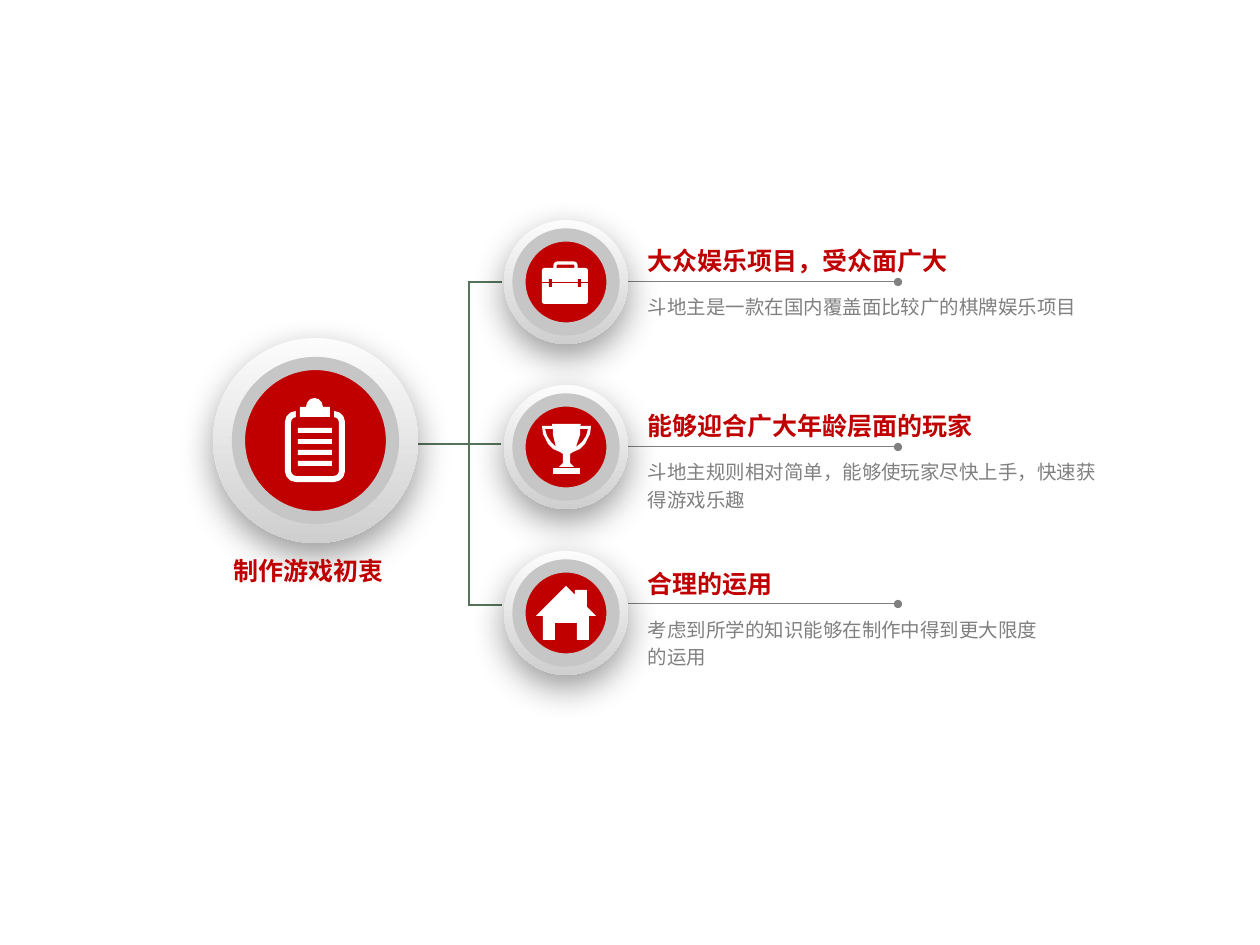
from lxml.etree import SubElement
from pptx import Presentation
from pptx.dml.color import RGBColor
from pptx.enum.shapes import MSO_CONNECTOR, MSO_SHAPE
from pptx.oxml.ns import qn
from pptx.util import Inches, Pt

FONT = "Noto Sans CJK SC"
RED, GREY, GREEN, WHITE = "C00000", "808080", "55735B", "FFFFFF"

prs = Presentation()
prs.slide_width, prs.slide_height = Inches(12.6), Inches(9.45)
s = prs.slides.add_slide(prs.slide_layouts[6])


def rgb(color):
    return RGBColor.from_string(color)


def style(sp, fill=None, line=None, width=0):
    """Set fill and line; None leaves that part empty."""
    sp.shadow.inherit = False
    if fill:
        sp.fill.solid()
        sp.fill.fore_color.rgb = rgb(fill)
    else:
        sp.fill.background()
    if line:
        sp.line.color.rgb = rgb(line)
        sp.line.width = Pt(width)
    else:
        sp.line.fill.background()


# Lines: the green bracket, then a grey underline with round ends per row
lines = [
    (4.11, 4.44, 5.01, 4.44, GREEN),
    (4.69, 2.82, 4.69, 6.05, GREEN),
    (4.68, 6.05, 5.02, 6.05, GREEN),
    (4.68, 2.82, 5.02, 2.82, GREEN),
]
lines += [(6.06, y, 8.98, y, GREY) for y in (2.82, 4.47, 6.04)]
for x1, y1, x2, y2, color in lines:
    cx = s.shapes.add_connector(MSO_CONNECTOR.STRAIGHT, Inches(x1), Inches(y1),
                                Inches(x2), Inches(y2))
    cx.line.color.rgb = rgb(color)
    cx.line.width = Pt(0.75 if color == GREY else 1)
    if color == GREY:
        ln = cx.line._get_or_add_ln()
        for end in ("a:headEnd", "a:tailEnd"):
            SubElement(ln, qn(end), type="oval")
    SubElement(cx._element.spPr, qn("a:effectLst"))

# Round buttons: shaded disc with a soft shadow, red disc with a grey ring
buttons = [(2.13, 3.38, 2.05, 1.54)]
buttons += [(5.04, y, 1.24, 0.94) for y in (2.2, 3.85, 5.51)]
for x, y, outer, inner in buttons:
    disc = s.shapes.add_shape(MSO_SHAPE.OVAL, Inches(x), Inches(y), Inches(outer), Inches(outer))
    style(disc, WHITE)
    disc.fill.gradient()
    disc.fill.gradient_angle = 270
    for stop, color in zip(disc.fill.gradient_stops, ("FCFCFC", "CFCFCF")):
        stop.color.rgb = rgb(color)
    effects = disc._element.spPr.find(qn("a:effectLst"))
    shadow = SubElement(effects, qn("a:outerShdw"), blurRad=str(Pt(25)), dist=str(Pt(9)),
                        dir="5400000", algn="t", rotWithShape="0")
    black = SubElement(shadow, qn("a:srgbClr"), val="000000")
    SubElement(black, qn("a:alpha"), val="40000")
    gap = (outer - inner) / 2
    core = s.shapes.add_shape(MSO_SHAPE.OVAL, Inches(x + gap), Inches(y + gap),
                              Inches(inner), Inches(inner))
    style(core, RED, "C6C6C6", 9.5)

# Clipboard and briefcase icons
RECT, ROUND, OVAL = MSO_SHAPE.RECTANGLE, MSO_SHAPE.ROUNDED_RECTANGLE, MSO_SHAPE.OVAL
icon_parts = [
    # kind, left, top, width, height, corner, fill, line width
    (ROUND, 2.88, 4.14, 0.54, 0.65, 0.15, None, 4.3),
    (RECT, 2.96, 4.08, 0.38, 0.1, 0, RED, 0),
    (OVAL, 3.06, 3.98, 0.17, 0.18, 0, WHITE, 0),
    (RECT, 3.0, 4.07, 0.3, 0.1, 0, WHITE, 0),
]
icon_parts += [(RECT, 2.98, 4.28 + 0.11 * i, 0.34, 0.05, 0, WHITE, 0) for i in range(4)]
icon_parts += [
    (ROUND, 5.55, 2.63, 0.21, 0.12, 0.2, None, 2.3),
    (ROUND, 5.42, 2.68, 0.46, 0.36, 0.07, WHITE, 0),
    (RECT, 5.42, 2.82, 0.46, 0.01, 0, RED, 0),
    (RECT, 5.49, 2.79, 0.03, 0.08, 0, RED, 0),
    (RECT, 5.78, 2.79, 0.03, 0.08, 0, RED, 0),
]
for kind, x, y, w, h, corner, fill, width in icon_parts:
    sp = s.shapes.add_shape(kind, Inches(x), Inches(y), Inches(w), Inches(h))
    if kind == ROUND:
        sp.adjustments[0] = corner
    style(sp, fill, WHITE if width else None, width)

# Trophy and house icons, each a list of closed contours
trophy_cup = [
    [(5.81, 4.24), (5.52, 4.24), (5.52, 4.26), (5.42, 4.26), (5.43, 4.34), (5.48, 4.44),
     (5.53, 4.49), (5.6, 4.52), (5.63, 4.54), (5.63, 4.63), (5.59, 4.67), (5.74, 4.67),
     (5.7, 4.63), (5.7, 4.54), (5.73, 4.52), (5.8, 4.49), (5.85, 4.44), (5.9, 4.34),
     (5.91, 4.26), (5.8, 4.26)],
    [(5.51, 4.42), (5.47, 4.36), (5.45, 4.29), (5.53, 4.29), (5.53, 4.35), (5.56, 4.47)],
    [(5.82, 4.42), (5.76, 4.47), (5.8, 4.35), (5.8, 4.29), (5.88, 4.29), (5.86, 4.36)],
]
trophy_base = [[(5.53, 4.68), (5.53, 4.74), (5.8, 4.74), (5.8, 4.68)]]
house = [
    [(5.87, 6.07), (5.87, 5.9), (5.75, 5.9), (5.75, 5.95), (5.66, 5.86), (5.36, 6.16),
     (5.43, 6.16), (5.43, 6.4), (5.55, 6.4), (5.55, 6.23), (5.77, 6.23), (5.77, 6.4),
     (5.89, 6.4), (5.89, 6.16), (5.96, 6.16)],
]
for contours in (trophy_cup, trophy_base, house):
    outline = None
    for contour in contours:
        first, *rest = [(Inches(x), Inches(y)) for x, y in contour]
        if outline is None:
            outline = s.shapes.build_freeform(*first)
        else:
            outline.move_to(*first)
        outline.add_line_segments(rest, close=True)
    style(outline.convert_to_shape(), WHITE)

# Text: red headings and grey descriptions
texts = [
    (2.24, 5.51, 1.81, 0.4, True, ["制作游戏初衷"]),
    (6.38, 2.41, 4.8, 0.4, True, ["大众娱乐项目，受众面广大"]),
    (6.38, 2.85, 4.8, 0.38, False, ["斗地主是一款在国内覆盖面比较广的棋牌娱乐项目"]),
    (6.38, 4.06, 4.8, 0.4, True, ["能够迎合广大年龄层面的玩家"]),
    (6.38, 4.51, 4.8, 0.66, False, ["斗地主规则相对简单，能够使玩家尽快上手，快速获得游戏乐趣"]),
    (6.38, 5.64, 4.8, 0.4, True, ["合理的运用"]),
    (6.38, 6.08, 4.8, 0.95, False, ["考虑到所学的知识能够在制作中得到更大限度", "的运用"]),
]
for x, y, w, h, heading, paragraphs in texts:
    tf = s.shapes.add_textbox(Inches(x), Inches(y), Inches(w), Inches(h)).text_frame
    tf.word_wrap = True
    tf.text = "\n".join(paragraphs)
    for p in tf.paragraphs:
        p.line_spacing = 1.0 if heading else 1.2
        font = p.runs[0].font
        font.size = Pt(18 if heading else 14)
        font.bold = heading
        font.color.rgb = rgb(RED if heading else GREY)
        font.name = FONT
        SubElement(font._element, qn("a:ea"), typeface=FONT)

prs.save("out.pptx")
